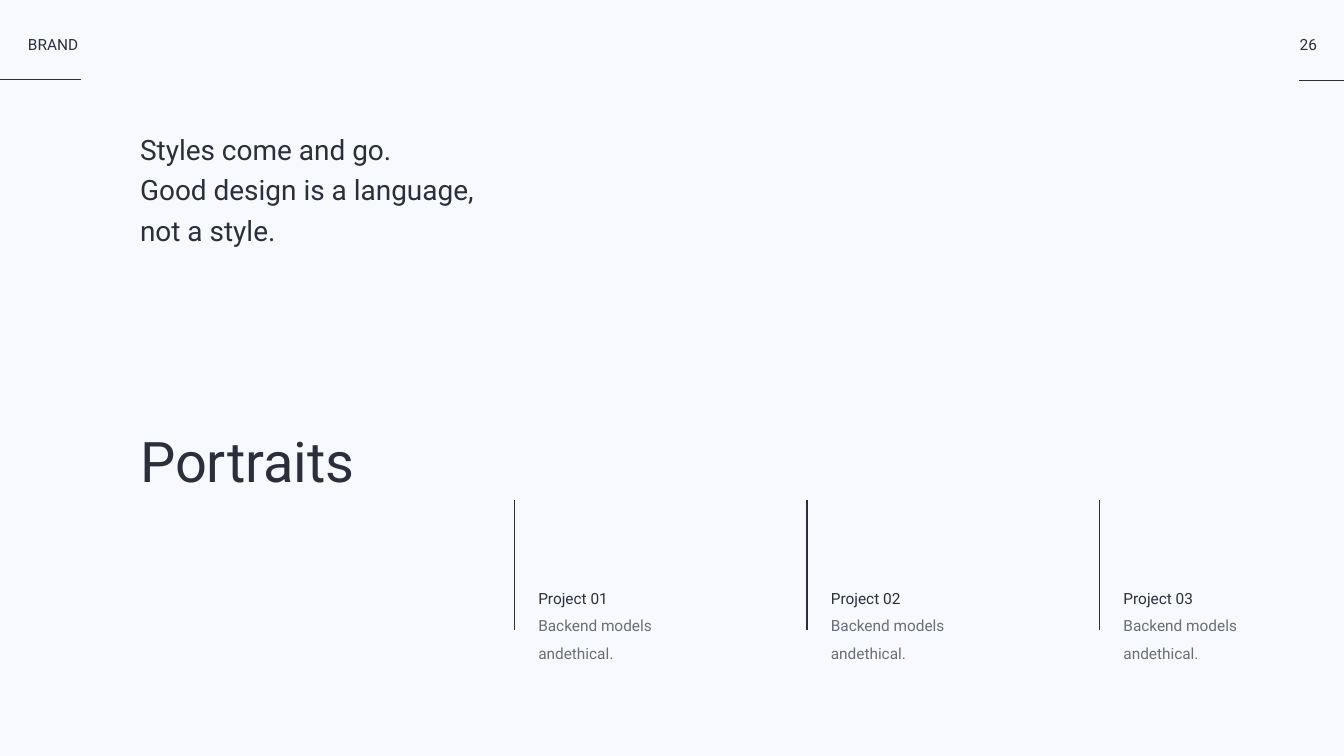
from dataclasses import dataclass

from lxml import etree
from pptx import Presentation
from pptx import util as u
from pptx.dml.color import RGBColor
from pptx.enum import shapes, text
from pptx.oxml.ns import qn
from pptx.slide import Slide

INK = RGBColor(0x2C, 0x2E, 0x3C)
GRAY = RGBColor(0x6A, 0x6E, 0x77)
PAPER = RGBColor(0xF7, 0xF9, 0xFF)
FONT = "Roboto"
WIDTH, HEIGHT = 1920, 1080
PROJECT_LEFT, PROJECT_PITCH, PROJECT_INDENT = 735, 418, 34


@dataclass(frozen=True)
class Rule:
    x1: float
    y1: float
    x2: float
    y2: float


@dataclass(frozen=True)
class Label:
    left: float
    top: float
    width: float
    height: float
    lines: tuple[str, ...]
    size: float = 22
    spacing: float = 1.0
    align: text.PP_ALIGN = text.PP_ALIGN.LEFT
    colors: tuple[RGBColor, ...] = (INK,)


def draw_rule(slide: Slide, rule: Rule) -> None:
    connector = slide.shapes.add_connector(
        shapes.MSO_CONNECTOR.STRAIGHT,
        u.Pt(rule.x1), u.Pt(rule.y1), u.Pt(rule.x2), u.Pt(rule.y2),
    )
    connector.line.color.rgb = INK
    connector.line.width = u.Pt(2)
    etree.SubElement(connector._element.spPr, qn("a:effectLst"))


def draw_label(slide: Slide, label: Label) -> None:
    shape = slide.shapes.add_textbox(
        u.Pt(label.left), u.Pt(label.top), u.Pt(label.width), u.Pt(label.height)
    )
    frame = shape.text_frame
    frame.word_wrap = True
    frame.margin_left = frame.margin_right = u.Pt(0)
    frame.margin_top = frame.margin_bottom = u.Pt(0)
    frame.text = "\n".join(label.lines)
    for index, paragraph in enumerate(frame.paragraphs):
        paragraph.alignment = label.align
        paragraph.line_spacing = label.spacing
        for run in paragraph.runs:
            run.font.name = FONT
            run.font.size = u.Pt(label.size)
            run.font.color.rgb = label.colors[min(index, len(label.colors) - 1)]


def draw_project(slide: Slide, index: int) -> None:
    left = PROJECT_LEFT + index * PROJECT_PITCH
    draw_rule(slide, Rule(left, 715, left, 900))
    draw_label(slide, Label(
        left + PROJECT_INDENT, 828, 272, 73,
        (f"Project {index + 1:02d}", "Backend models\vandethical."),
        spacing=1.5, colors=(INK, GRAY),
    ))


def main() -> None:
    presentation = Presentation()
    presentation.slide_width = u.Pt(WIDTH)
    presentation.slide_height = u.Pt(HEIGHT)
    slide = presentation.slides.add_slide(presentation.slide_layouts[6])
    slide.background.fill.solid()
    slide.background.fill.fore_color.rgb = PAPER

    for rule in (Rule(0, 114, 116, 114), Rule(1856, 115, WIDTH, 115)):
        draw_rule(slide, rule)

    labels = (
        Label(40, 50, 80, 29, ("BRAND",)),
        Label(1856, 50, 26, 29, ("26",), align=text.PP_ALIGN.CENTER),
        Label(200, 609, 320, 106, ("Portraits",), size=80),
        Label(
            200, 180, 481, 180,
            ("Styles come and go.", "Good design is a language,", "not a style."),
            size=40, spacing=1.2,
        ),
    )
    for label in labels:
        draw_label(slide, label)

    for index in range(3):
        draw_project(slide, index)

    presentation.save("out.pptx")


if __name__ == "__main__":
    main()
